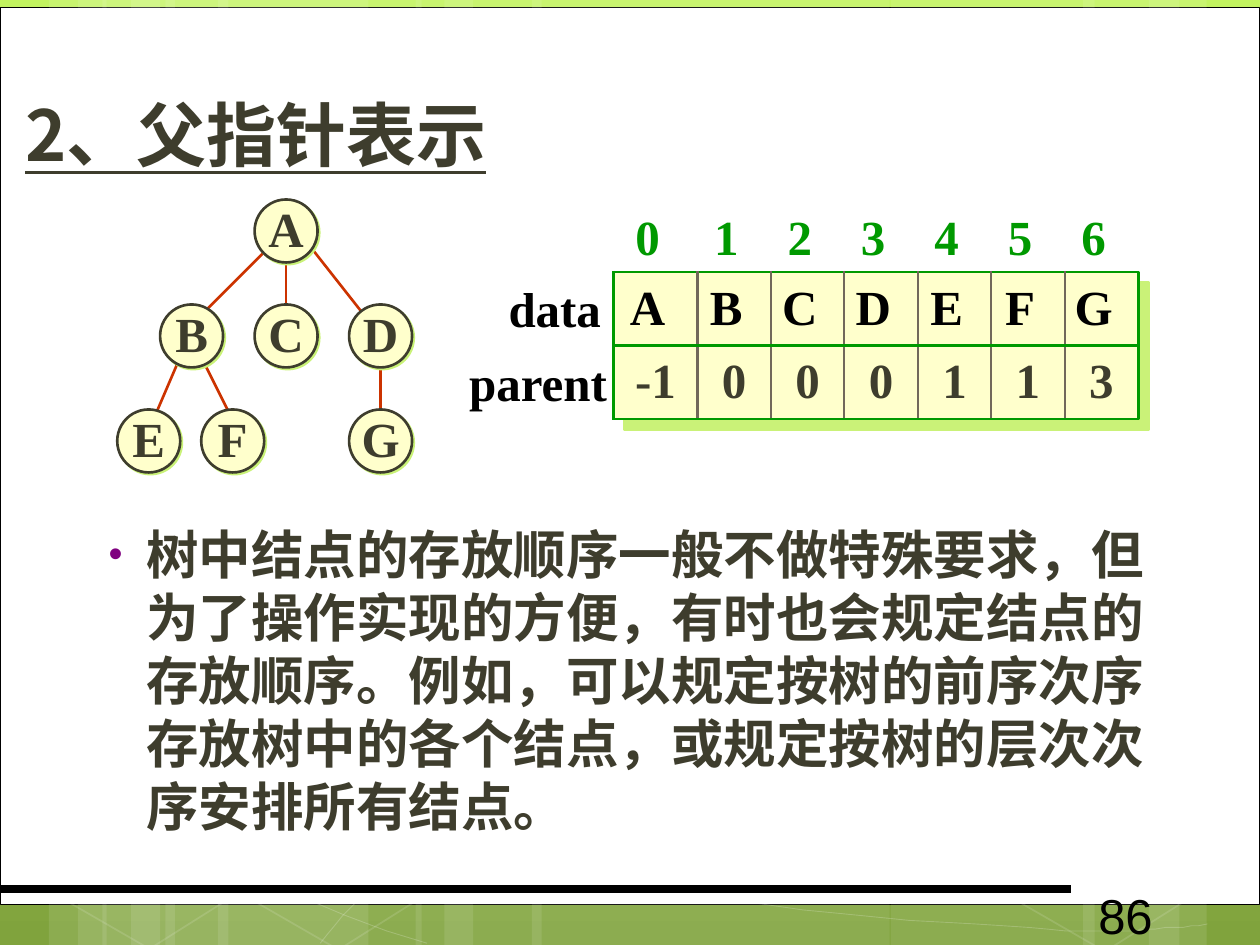
import pptx
import pptx.dml.color
import pptx.enum.shapes
import pptx.enum.text
import pptx.oxml
import pptx.oxml.ns
import pptx.util

Pt = pptx.util.Pt
SHAPE = pptx.enum.shapes.MSO_SHAPE
ALIGN = pptx.enum.text.PP_ALIGN
ANCHOR = pptx.enum.text.MSO_ANCHOR
NAMESPACE = pptx.oxml.ns.nsdecls("a")

DARK, CREAM, GREEN, RED = "3E3D2D", "FFFFCC", "009900", "CC3300"
SERIF, SANS = "Times New Roman", "Noto Sans CJK JP"

STRIPES = [(94.5, 116), (28, 33), (44.5, 55.5), (124.5, 116.5), (58.5, 33), (75, 55.5),
           (509, 116.5), (656.5, 33), (619, 55), (304, 204.5), (237.5, 33), (254, 55.5)]
HEXAGONS = [(29.5, 425.5), (137.5, 426), (575.5, 427)]
CURVES = [
    [(26, 444), (106, 484), (186, 523), (244, 539)],
    [(26.5, 416), (47.5, 424), (68.5, 432), (107.5, 443.5), (145.5, 454.5), (203, 472),
     (258.5, 484.5), (314, 497), (384, 510), (438.5, 517), (493, 525), (552, 528),
     (587.5, 530), (622, 533), (631.5, 531.5), (648.5, 531.5), (665, 530.5),
     (677.5, 529.5), (690, 528.5)],
    [(183, 539), (194.5, 525), (206, 510.5), (222.5, 497.5), (238.5, 484), (260.5, 470),
     (279.5, 460), (297.5, 450), (309, 445.5), (333.5, 438.5), (358, 431), (402.5, 421),
     (425.5, 416), (448.5, 411), (452, 411), (473, 409.5), (493, 407.5), (525.5, 405.5),
     (548.5, 404.5)],
]
NODES = {"A": (145.5, 114), "B": (91.5, 174), "C": (145.5, 174), "D": (199.5, 174),
         "E": (67, 234), "F": (115, 234), "G": (199.5, 234)}
EDGES = [((151, 144), (115, 180)), ((163.5, 144), (163.5, 180)), ((175, 138), (217.5, 192)),
         ((103, 204), (85, 246)), ((115, 204), (133, 240)), ((217.5, 204), (217.5, 246))]
INDEXES = list("0123456")
DATA = list("ABCDEFG")
PARENTS = ["-1", "0", "0", "0", "1", "1", "3"]
BODY = ("树中结点的存放顺序一般不做特殊要求，但为了操作实现的方便，有时也会规定结点的存放顺序。"
        "例如，可以规定按树的前序次序存放树中的各个结点，或规定按树的层次次序安排所有结点。")


def color(value):
    return pptx.dml.color.RGBColor.from_string(value)


def fade(element, percent):
    for paint in element.iter(pptx.oxml.ns.qn("a:srgbClr")):
        paint.append(pptx.oxml.parse_xml(f'<a:alpha {NAMESPACE} val="{percent * 1000}"/>'))


def style_shape(shape, fill=None, line=None, weight=1):
    shape.shadow.inherit = False
    if fill:
        shape.fill.solid()
        shape.fill.fore_color.rgb = color(fill)
    else:
        shape.fill.background()
    if line:
        shape.line.color.rgb = color(line)
        shape.line.width = Pt(weight)
    else:
        shape.line.fill.background()


def add_shape(page, kind, left, top, width, height, **style):
    shape = page.shapes.add_shape(kind, Pt(left), Pt(top), Pt(width), Pt(height))
    style_shape(shape, **style)
    return shape


def add_shadow(shape, distance):
    effects = shape._element.spPr.find(pptx.oxml.ns.qn("a:effectLst"))
    effects.append(pptx.oxml.parse_xml(
        f'<a:outerShdw {NAMESPACE} dist="{Pt(distance)}" dir="2700000" algn="ctr" rotWithShape="0">'
        '<a:srgbClr val="CAF278"/></a:outerShdw>'))


def add_line(page, start, end, ink, weight):
    line = page.shapes.add_connector(pptx.enum.shapes.MSO_CONNECTOR.STRAIGHT,
                                     *(Pt(value) for value in (*start, *end)))
    line.line.color.rgb = color(ink)
    line.line.width = Pt(weight)
    line._element.spPr.append(pptx.oxml.parse_xml(f"<a:effectLst {NAMESPACE}/>"))


def add_curve(page, controls, steps=8):
    points = []
    for first in range(0, len(controls) - 1, 3):
        corners = controls[first:first + 4]
        for step in range(1, steps + 1):
            t = step / steps
            weights = ((1 - t) ** 3, 3 * t * (1 - t) ** 2, 3 * t * t * (1 - t), t ** 3)
            points.append([sum(w * corner[axis] for w, corner in zip(weights, corners))
                           for axis in (0, 1)])
    builder = page.shapes.build_freeform(*controls[0], scale=Pt(1))
    builder.add_line_segments(points, close=False)
    curve = builder.convert_to_shape()
    style_shape(curve, line="FFFFFF", weight=0.5)
    fade(curve._element, 20)


def write(frame, text, size=28, font=SERIF, ink=DARK, bold=True, underline=False,
          align=ALIGN.LEFT, east_asian="Noto Sans CJK SC"):
    para = frame.paragraphs[0]
    para.alignment = align
    span = para.add_run()
    span.text = text
    span.font.size = Pt(size)
    span.font.name = font
    span.font.bold = bold
    span.font.underline = underline
    span.font.color.rgb = color(ink)
    span.font._element.find(pptx.oxml.ns.qn("a:latin")).addnext(
        pptx.oxml.parse_xml(f'<a:ea {NAMESPACE} typeface="{east_asian}"/>'))
    return para


def set_margins(frame, left=0, top=0, right=0, bottom=0):
    frame.margin_left, frame.margin_top = Pt(left), Pt(top)
    frame.margin_right, frame.margin_bottom = Pt(right), Pt(bottom)


def add_text(page, text, left, top, width, height, anchor=ANCHOR.TOP, **style):
    box = page.shapes.add_textbox(Pt(left), Pt(top), Pt(width), Pt(height))
    box.text_frame.word_wrap = True
    box.text_frame.vertical_anchor = anchor
    return write(box.text_frame, text, **style)


def add_backdrop(page):
    fill = page.background.fill
    fill.gradient()
    fill.gradient_angle = 270
    for stop, value, position in zip(fill.gradient_stops, ("C2F35F", "80A33D"), (0, 1)):
        stop.color.rgb = color(value)
        stop.position = position
    add_shape(page, SHAPE.RECTANGLE, 0, 4.5, 720, 512.5, fill="FFFFFF", line="000000", weight=0.5)
    for left, width in STRIPES:
        stripe = add_shape(page, SHAPE.RECTANGLE, left, 0, width, 540, fill="FFFFFF")
        fade(stripe._element, 10)
    for controls in CURVES:
        add_curve(page, controls)
    for left, top in HEXAGONS:
        hexagon = add_shape(page, SHAPE.HEXAGON, left, top, 116, 109.5, line="FFFFFF")
        hexagon.adjustments[0] = 0.263
        hexagon.rotation = 30
        fade(hexagon._element, 12)
    add_line(page, (0, 508), (612, 508), "000000", 4.5)


def add_title(page, text):
    title = page.shapes.title
    title.left, title.top, title.width, title.height = Pt(14.5), Pt(40), Pt(648), Pt(73)
    set_margins(title.text_frame)
    title.text_frame.vertical_anchor = ANCHOR.MIDDLE
    write(title.text_frame, text, size=40, font=SANS, underline=True, east_asian=SANS)
    title._element.getparent().append(title._element)


def add_body(page):
    para = add_text(page, BODY, 49.5, 295, 625, 195, size=30)
    para.line_spacing = Pt(36)
    properties = para._p.get_or_add_pPr()
    properties.set("marL", str(Pt(27)))
    properties.set("indent", str(Pt(-21.5)))
    for bullet in ('buClr {}><a:srgbClr val="800080"/></a:buClr>', 'buSzPct {} val="76000"/>',
                   'buFont {} typeface="Arial"/>', 'buChar {} char="•"/>'):
        properties.append(pptx.oxml.parse_xml("<a:" + bullet.format(NAMESPACE)))


def add_tree(page):
    for start, end in EDGES:
        add_line(page, start, end, RED, 1.5)
    for name, (left, top) in NODES.items():
        node = add_shape(page, SHAPE.OVAL, left, top, 36, 36, fill=CREAM, line=DARK, weight=1.5)
        add_shadow(node, 1.4)
        set_margins(node.text_frame, bottom=3)
        node.text_frame.word_wrap = False
        node.text_frame.vertical_anchor = ANCHOR.MIDDLE
        write(node.text_frame, name, align=ALIGN.CENTER)


def set_borders(cell, **sides):
    properties = cell._tc.get_or_add_tcPr()
    for side in "LRTB":
        if side in sides:
            properties.append(pptx.oxml.parse_xml(
                f'<a:ln{side} {NAMESPACE} w="{Pt(1.5)}"><a:solidFill>'
                f'<a:srgbClr val="{sides[side]}"/></a:solidFill></a:ln{side}>'))


def add_array(page):
    frame = add_shape(page, SHAPE.RECTANGLE, 350.5, 155.5, 300, 84, fill=CREAM, line=GREEN, weight=1.5)
    add_shadow(frame, 8.5)
    table = page.shapes.add_table(3, 7, Pt(350.5), Pt(118), Pt(300), Pt(121.5)).table
    table.first_row = table.horz_banding = False
    table._tbl.tblPr[0].text = "{2D5ABB26-0587-4C30-8999-92F81FD0307C}"
    for number, column in enumerate(table.columns):
        column.width = Pt(42 if number else 48)
    rows = [(INDEXES, 37.5, GREEN, 9), (DATA, 42, "000000", 9), (PARENTS, 42, DARK, 0)]
    for row, (values, height, ink, right) in enumerate(rows):
        table.rows[row].height = Pt(height)
        for column, value in enumerate(values):
            cell = table.cell(row, column)
            set_margins(cell, right=right)
            cell.vertical_anchor = ANCHOR.MIDDLE
            write(cell.text_frame, value, ink=ink, align=ALIGN.CENTER)
            if row == 0:
                set_borders(cell, B=GREEN)
                cell.fill.background()
                continue
            set_borders(cell, T=GREEN, B=GREEN, L="71685A" if column else GREEN,
                        R="71685A" if column < 6 else GREEN)
            cell.fill.solid()
            cell.fill.fore_color.rgb = color(CREAM)
    for text, left, top, width in (("data", 277, 155.5, 80), ("parent", 257.5, 197.5, 100)):
        add_text(page, text, left, top, width, 41, anchor=ANCHOR.MIDDLE, ink="000000",
                 align=ALIGN.CENTER)


def main():
    deck = pptx.Presentation()
    deck.slide_width, deck.slide_height = Pt(720), Pt(540)
    page = deck.slides.add_slide(deck.slide_layouts[5])
    add_backdrop(page)
    add_title(page, "2、父指针表示")
    add_body(page)
    add_text(page, "86", 620.5, 502.5, 99, 29, font="Arial", ink="000000", bold=False)
    add_tree(page)
    add_array(page)
    deck.save("out.pptx")


if __name__ == "__main__":
    main()
